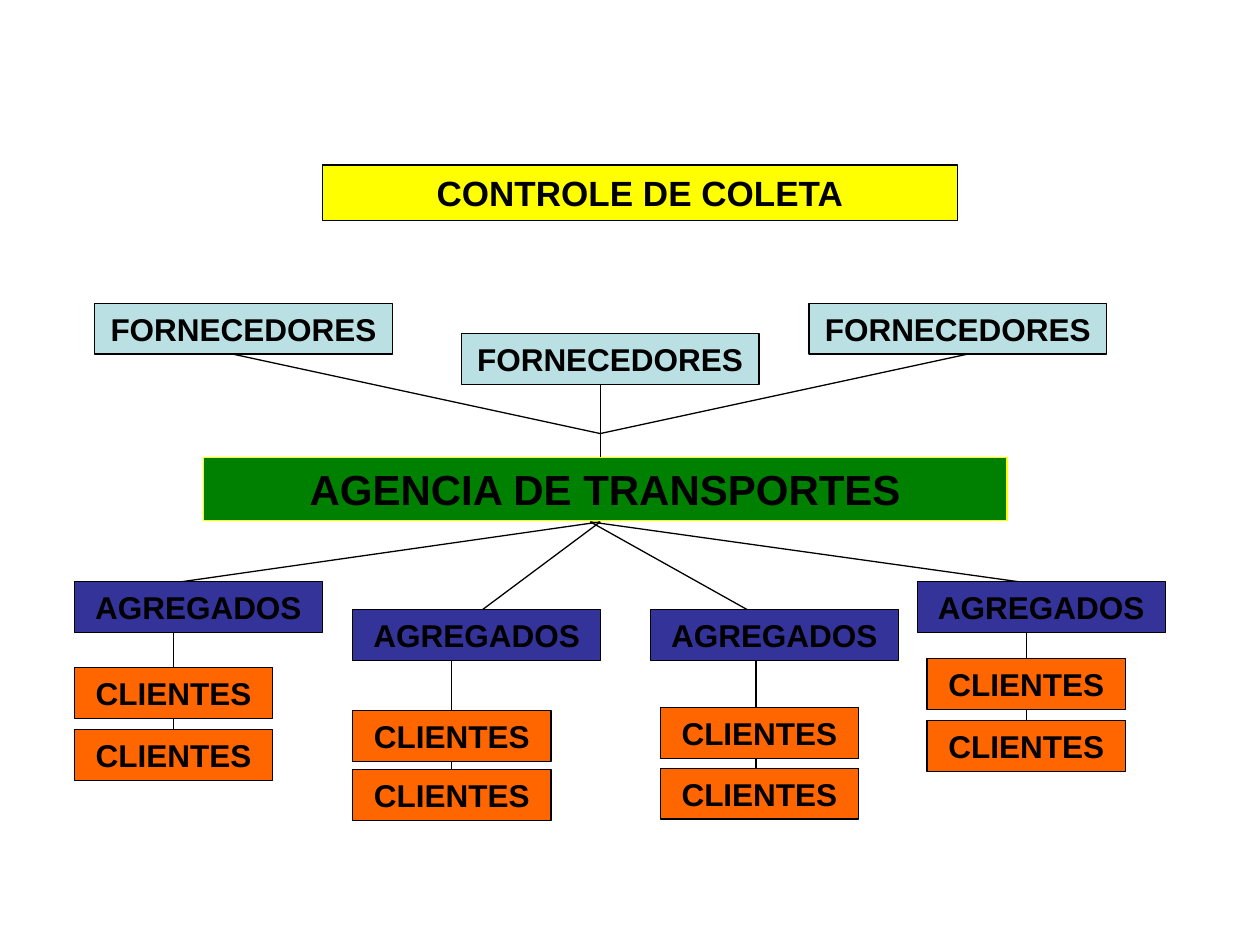
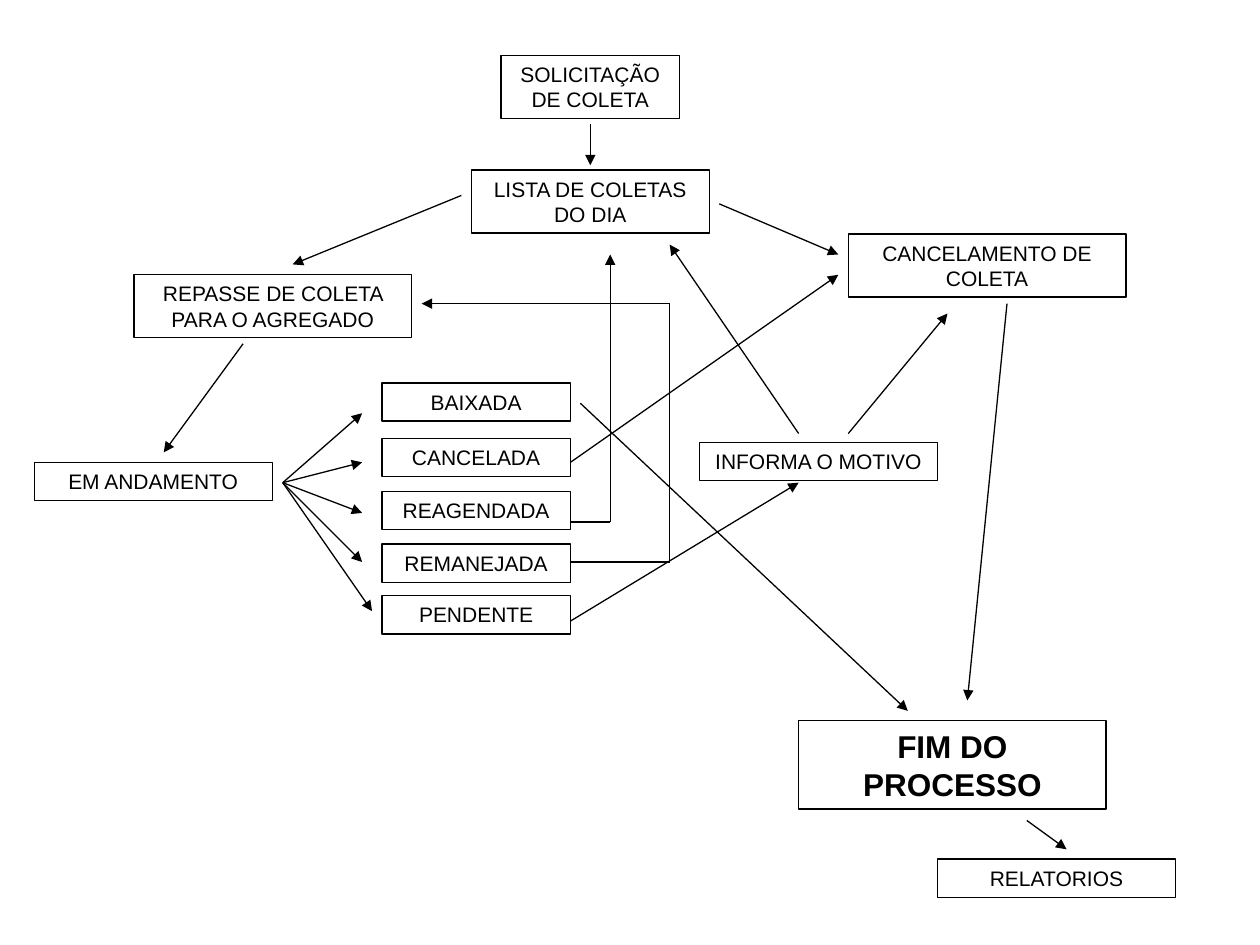
import lxml.etree
import pptx
import pptx.dml.color
import pptx.enum.shapes
import pptx.enum.text
import pptx.oxml.ns
import pptx.util

Cm = pptx.util.Cm
Pt = pptx.util.Pt
RGB = pptx.dml.color.RGBColor.from_string
qn = pptx.oxml.ns.qn

hues = {
    "ink": "000000",
    "paper": "FFFFFF",
    "title": "FFFF00",
    "source": "BBE0E3",
    "agent": "008000",
    "helper": "333399",
    "client": "FF6600",
}


def box(slide, text, x, y, wide, high, fill="paper", edge="ink", size=12, bold=False):
    shape = slide.shapes.add_shape(
        pptx.enum.shapes.MSO_SHAPE.RECTANGLE, Cm(x), Cm(y), Cm(wide), Cm(high))
    shape.shadow.inherit = False
    shape.fill.solid()
    shape.fill.fore_color.rgb = RGB(hues[fill])
    shape.line.color.rgb = RGB(hues[edge])
    shape.line.width = Pt(0.75)
    frame = shape.text_frame
    frame.word_wrap = True
    frame.auto_size = pptx.enum.text.MSO_AUTO_SIZE.SHAPE_TO_FIT_TEXT
    frame.vertical_anchor = pptx.enum.text.MSO_ANCHOR.TOP
    para = frame.paragraphs[0]
    para.alignment = pptx.enum.text.PP_ALIGN.CENTER
    para.space_before = Pt(size * 0.625)
    run = para.add_run()
    run.text = text
    run.font.name = "Arial"
    run.font.size = Pt(size)
    run.font.bold = bold
    run.font.color.rgb = RGB(hues["ink"])


def link(slide, start, end, arrow=False):
    line = slide.shapes.add_connector(
        pptx.enum.shapes.MSO_CONNECTOR.STRAIGHT, *[Cm(n) for n in (*start, *end)])
    line.line.color.rgb = RGB(hues["ink"])
    line.line.width = Pt(0.75)
    props = line.element.spPr
    if arrow:
        lxml.etree.SubElement(props.find(qn("a:ln")), qn("a:tailEnd"), type="triangle")
    lxml.etree.SubElement(props, qn("a:effectLst"))


deck = pptx.Presentation()
deck.slide_width = Cm(25.4)
deck.slide_height = Cm(19.05)
blank = deck.slide_layouts[6]

chart = deck.slides.add_slide(blank)

hub = (12.1, 8.74)
link(chart, (12.1, 7.72), (12.1, 9.53))
for x in (4.7, 19.5):
    link(chart, (x, 7.14), hub)

teams = [
    (1.5, 11.73, 12.1, 3.5, 1.5, 13.46, 14.71),
    (7.11, 12.29, 12.1, 9.7, 7.11, 14.33, 15.52),
    (13.11, 12.29, 11.9, 15.1, 13.31, 14.27, 15.49),
    (18.49, 11.73, 11.9, 20.7, 18.69, 13.28, 14.53),
]
stems = [3.5, 9.1, 15.24, 20.7]
for (x, y, root, tip, left, first, last), stem in zip(teams, stems):
    link(chart, (root, 10.52), (tip, y + 0.02))
    link(chart, (stem, y + 1.02), (stem, last + 0.4))
    box(chart, "AGREGADOS", x, y, 5, 1.02, fill="helper", size=18, bold=True)
    for top in (first, last):
        box(chart, "CLIENTES", left, top, 4, 1.02, fill="client", size=18, bold=True)

box(chart, "CONTROLE DE COLETA", 6.5, 3.33, 12.8, 1.12, fill="title", size=20, bold=True)
for x, y in [(1.91, 6.12), (9.3, 6.73), (16.31, 6.12)]:
    box(chart, "FORNECEDORES", x, y, 6, 1.02, fill="source", size=18, bold=True)
box(chart, "AGENCIA DE TRANSPORTES", 4.1, 9.22, 16.2, 1.27,
    fill="agent", edge="title", size=24, bold=True)

flow = deck.slides.add_slide(blank)

for tip in [(7.3, 8.33), (7.3, 9.32), (7.3, 10.34), (7.3, 11.33), (7.5, 12.32)]:
    link(flow, (5.7, 9.73), tip, arrow=True)

routes = [
    [(11.9, 2.51), (11.9, 3.33)],
    [(14.5, 4.11), (16.9, 5.13)],
    [(9.3, 3.94), (5.9, 5.33)],
    [(4.9, 6.93), (3.3, 9.12)],
    [(11.7, 8.13), (18.3, 14.33)],
    [(11.5, 9.32), (16.9, 5.54)],
    [(11.5, 10.52), (12.3, 10.52), (12.3, 5.13)],
    [(11.3, 11.33), (13.5, 11.33), (13.5, 6.12), (8.5, 6.12)],
    [(11.5, 12.52), (16.1, 9.73)],
    [(16.1, 8.74), (13.5, 4.93)],
    [(17.1, 8.74), (19.1, 6.32)],
    [(20.3, 6.12), (19.5, 14.12)],
    [(20.7, 16.54), (21.5, 17.12)],
]
for route in routes:
    for start, end in zip(route, route[1:]):
        link(flow, start, end, arrow=end == route[-1])

steps = [
    ("SOLICITAÇÃO DE COLETA", 10.1, 1.12, 3.6, 1.27),
    ("LISTA DE COLETAS DO DIA", 9.5, 3.43, 4.8, 1.27),
    ("REPASSE DE COLETA PARA O AGREGADO", 2.7, 5.54, 5.6, 1.27),
    ("CANCELAMENTO DE COLETA", 17.1, 4.72, 5.6, 1.27),
    ("EM ANDAMENTO", 0.69, 9.32, 4.8, 0.77),
    ("INFORMA O MOTIVO", 14.1, 8.92, 4.8, 0.77),
    ("RELATORIOS", 18.9, 17.32, 4.8, 0.77),
]
for step in steps:
    box(flow, *step)

states = {"BAIXADA": 7.72, "CANCELADA": 8.84, "REAGENDADA": 9.91,
          "REMANEJADA": 10.97, "PENDENTE": 12.01}
for state, y in states.items():
    box(flow, state, 7.7, y, 3.8, 0.77)

box(flow, "FIM DO PROCESSO", 16.1, 14.53, 6.2, 1.78, size=18, bold=True)

deck.save("out.pptx")
